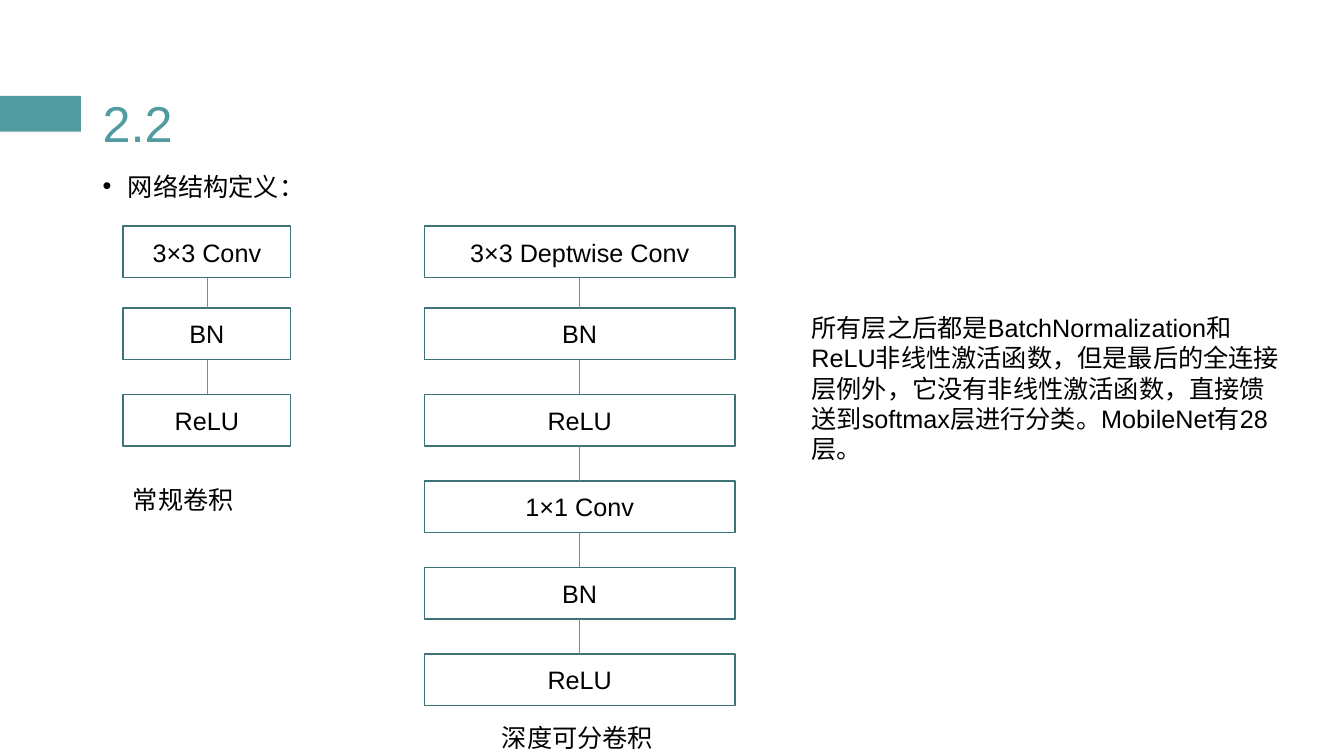
from dataclasses import dataclass
from itertools import pairwise

from lxml import etree
from pptx import Presentation
from pptx import util as u
from pptx.dml.color import RGBColor
from pptx.enum import shapes, text
from pptx.oxml import ns


@dataclass(frozen=True)
class Theme:
    font: str = "Arial"
    accent: str = "529BA0"
    border: str = "3D7376"
    paper: str = "FFFFFF"
    ink: str = "000000"
    title_size: int = 36
    body_size: int = 18
    line_spacing: float = 1.2


@dataclass(frozen=True)
class Box:
    left: float
    top: float
    width: float
    height: float

    def lengths(self):
        return [u.Cm(side) for side in (self.left, self.top, self.width, self.height)]


THEME = Theme()
LAYER_HEIGHT = 1.3
FIRST_STEP = 2.06
STEP = 2.18


def color(value):
    return RGBColor.from_string(value)


def write(frame, words, align=text.PP_ALIGN.LEFT, size=THEME.body_size, ink=THEME.ink):
    frame.word_wrap = True
    para = frame.paragraphs[0]
    para.text = words
    para.alignment = align
    para.font.name = THEME.font
    para.font.size = u.Pt(size)
    para.font.color.rgb = color(ink)
    return para


def add_rectangle(page, box, fill):
    rectangle = page.shapes.add_shape(shapes.MSO_SHAPE.RECTANGLE, *box.lengths())
    rectangle.shadow.inherit = False
    rectangle.fill.solid()
    rectangle.fill.fore_color.rgb = color(fill)
    return rectangle


def add_accent_bar(page, box):
    add_rectangle(page, box, THEME.accent).line.fill.background()


def place(placeholder, box):
    placeholder.left, placeholder.top, placeholder.width, placeholder.height = box.lengths()
    placeholder.text_frame.auto_size = text.MSO_AUTO_SIZE.NONE
    return placeholder.text_frame


def fill_title(page, box, words):
    frame = place(page.shapes.title, box)
    frame.vertical_anchor = text.MSO_ANCHOR.MIDDLE
    para = write(frame, words, size=THEME.title_size, ink=THEME.accent)
    para.line_spacing = THEME.line_spacing


def fill_body(page, box, words):
    frame = place(page.placeholders[1], box)
    para = frame.paragraphs[0]
    properties = para._p.get_or_add_pPr()
    properties.set("marL", str(u.Cm(0.64)))
    properties.set("indent", str(u.Cm(-0.64)))
    etree.SubElement(properties, ns.qn("a:buChar")).set("char", "•")
    write(frame, words, text.PP_ALIGN.JUSTIFY)
    para.line_spacing = THEME.line_spacing
    para.space_before = u.Pt(0)


def add_text(page, box, words):
    write(page.shapes.add_textbox(*box.lengths()).text_frame, words)


def add_link(page, x, start, end):
    link = page.shapes.add_connector(
        shapes.MSO_CONNECTOR.STRAIGHT, u.Cm(x), u.Cm(start), u.Cm(x), u.Cm(end)
    )
    link.line.color.rgb = color(THEME.accent)
    link.line.width = u.Pt(0.5)
    etree.SubElement(link._element.spPr, ns.qn("a:effectLst"))


def add_layer(page, box, words):
    layer = add_rectangle(page, box, THEME.paper)
    layer.line.color.rgb = color(THEME.border)
    layer.line.width = u.Pt(1)
    layer.text_frame.vertical_anchor = text.MSO_ANCHOR.MIDDLE
    write(layer.text_frame, words, text.PP_ALIGN.CENTER)


def add_network(page, left, top, width, layers):
    tops = [top] + [top + FIRST_STEP + STEP * row for row in range(len(layers) - 1)]
    for layer_top, words in zip(tops, layers):
        add_layer(page, Box(left, layer_top, width, LAYER_HEIGHT), words)
    for upper, lower in pairwise(tops):
        add_link(page, left + width / 2, upper + LAYER_HEIGHT, lower)


def build_structure_slide(deck):
    page = deck.slides.add_slide(deck.slide_layouts[1])
    add_accent_bar(page, Box(0, 2.42, 2.04, 0.9))
    fill_title(page, Box(2.33, 1.1, 29.21, 3.68), "2.2")
    fill_body(page, Box(2.33, 4.03, 17.86, 12.1), "网络结构定义：")
    add_network(page, 3.1, 5.7, 4.23, ["3×3 Conv", "BN", "ReLU"])
    add_text(page, Box(3.1, 12.09, 4.27, 1.02), "常规卷积")
    add_network(
        page, 10.7, 5.7, 7.82,
        ["3×3 Deptwise Conv", "BN", "ReLU", "1×1 Conv", "BN", "ReLU"],
    )
    add_text(page, Box(12.4, 18.08, 4.4, 1.02), "深度可分卷积")
    add_text(
        page, Box(20.2, 7.75, 12.34, 4.09),
        "所有层之后都是BatchNormalization和ReLU非线性激活函数，但是最后的全连接层例外，"
        "它没有非线性激活函数，直接馈送到softmax层进行分类。MobileNet有28层。",
    )


def main():
    deck = Presentation()
    deck.slide_width, deck.slide_height = u.Cm(33.87), u.Cm(19.05)
    build_structure_slide(deck)
    deck.save("out.pptx")


if __name__ == "__main__":
    main()
